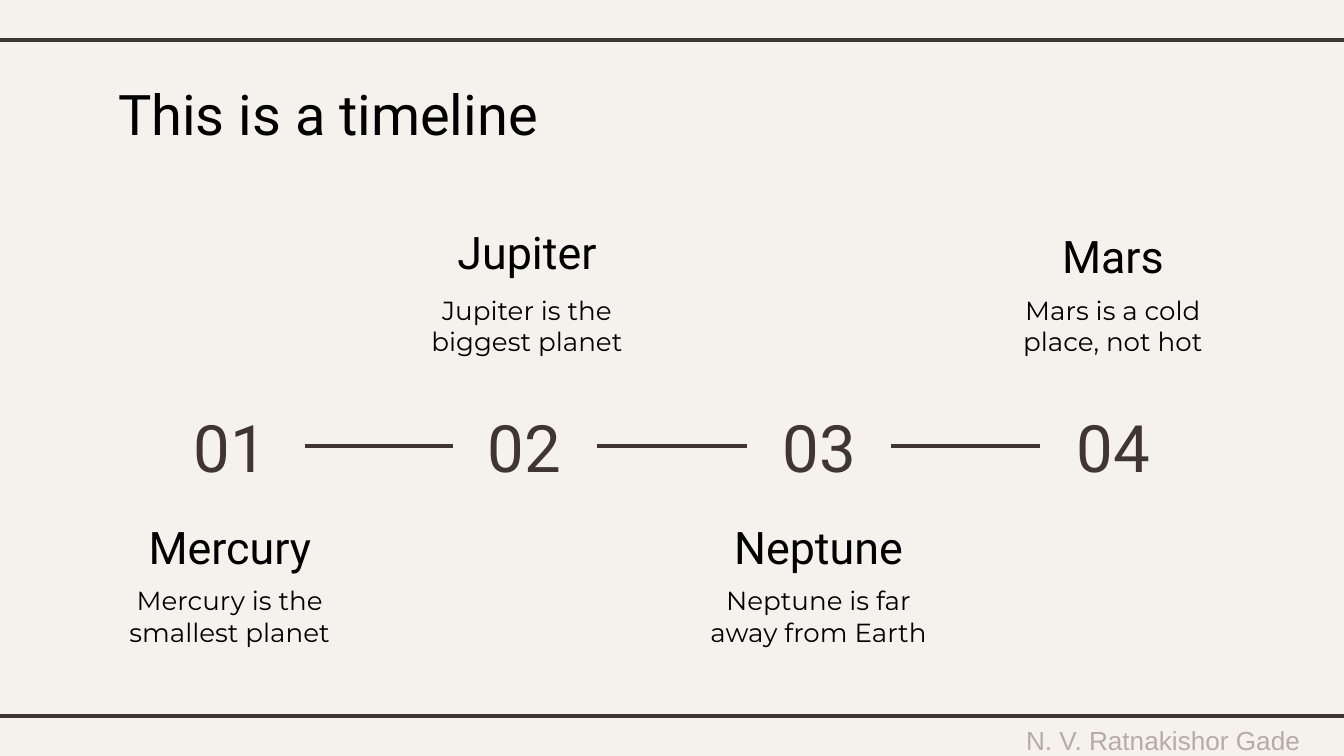
from itertools import pairwise

from lxml.etree import SubElement
from pptx import Presentation
from pptx.dml.color import RGBColor
from pptx.enum.shapes import MSO_CONNECTOR as Connector
from pptx.enum.text import MSO_ANCHOR as Anchor, PP_ALIGN as Align
from pptx.oxml.ns import qn
from pptx.util import Pt

COLORS = {"paper": "F5F2EE", "ink": "000000", "brown": "3F3533", "muted": "B8AAA7"}
RIGHT_SIDE, LEFT_SIDE = 3, 1
PLANET_WIDTH = 135.4
NUMBER_TOP, NUMBER_HEIGHT = 212.7, 52.6

STEPS = [
    ("Mercury", "Mercury is the smallest planet", 55.4, 278.6, 306, 83.5, 79.9),
    ("Jupiter", "Jupiter is the biggest planet", 214.6, 121, 150.5, 242.6, 77),
    ("Neptune", "Neptune is far away from Earth", 370.8, 278.6, 306, 400.3, 77),
    ("Mars", "Mars is a cold place, not hot", 528.5, 123.1, 150.5, 557.3, 78.5),
]


def color(name):
    return RGBColor.from_string(COLORS[name])


def add_text(shapes, text, left, top, width, height, size=14, font="Montserrat",
             ink="ink", align=Align.CENTER, anchor=Anchor.TOP, inset=7.2):
    box = shapes.add_textbox(Pt(left), Pt(top), Pt(width), Pt(height))
    frame = box.text_frame
    frame.word_wrap = True
    frame.vertical_anchor = anchor
    frame.margin_left = frame.margin_right = Pt(7.2)
    frame.margin_top = frame.margin_bottom = Pt(inset)
    paragraph = frame.paragraphs[0]
    paragraph.alignment = align
    run = paragraph.add_run()
    run.text = text
    run.font.name = font
    run.font.size = Pt(size)
    run.font.color.rgb = color(ink)
    return box


def add_line(shapes, left, right, y):
    line = shapes.add_connector(Connector.STRAIGHT, Pt(left), Pt(y), Pt(right), Pt(y))
    line.line.color.rgb = color("brown")
    line.line.width = Pt(2.25)
    SubElement(line._element.spPr, qn("a:effectLst"))
    return line


def add_planet(shapes, name, fact, left, name_top, fact_top):
    add_text(shapes, name, left, name_top, PLANET_WIDTH, 28,
             size=24, font="Roboto", anchor=Anchor.MIDDLE)
    add_text(shapes, fact, left, fact_top, PLANET_WIDTH, 45.4)


def add_number_track(shapes, spans):
    track = shapes.add_group_shape().shapes
    numbers = [
        add_text(track, f"{index:02}", left, NUMBER_TOP, width, NUMBER_HEIGHT,
                 size=35, font="Roboto", ink="brown", anchor=Anchor.MIDDLE)
        for index, (left, width) in enumerate(spans, 1)
    ]
    middle = NUMBER_TOP + NUMBER_HEIGHT / 2
    for (before, (left, width)), (after, (next_left, _)) in pairwise(zip(numbers, spans)):
        link = add_line(track, left + width, next_left, middle)
        link.begin_connect(before, RIGHT_SIDE)
        link.end_connect(after, LEFT_SIDE)


def main():
    deck = Presentation()
    deck.slide_width, deck.slide_height = Pt(720), Pt(405)
    slide = deck.slides.add_slide(deck.slide_layouts[6])
    slide.background.fill.solid()
    slide.background.fill.fore_color.rgb = color("paper")
    shapes = slide.shapes

    add_text(shapes, "N. V. Ratnakishor Gade", 526.3, 389.5, 193.7, 13.7,
             font="Arial", ink="muted", anchor=Anchor.MIDDLE, inset=3.6)
    for y in (21.6, 383.8):
        add_line(shapes, -5.8, 725.8, y)
    add_text(shapes, "This is a timeline", 56.2, 35.3, 607.7, 45.4,
             size=30, font="Roboto", align=Align.LEFT)
    for name, fact, left, name_top, fact_top, *_ in STEPS:
        add_planet(shapes, name, fact, left, name_top, fact_top)
    add_number_track(shapes, [step[-2:] for step in STEPS])

    deck.save("out.pptx")


if __name__ == "__main__":
    main()
